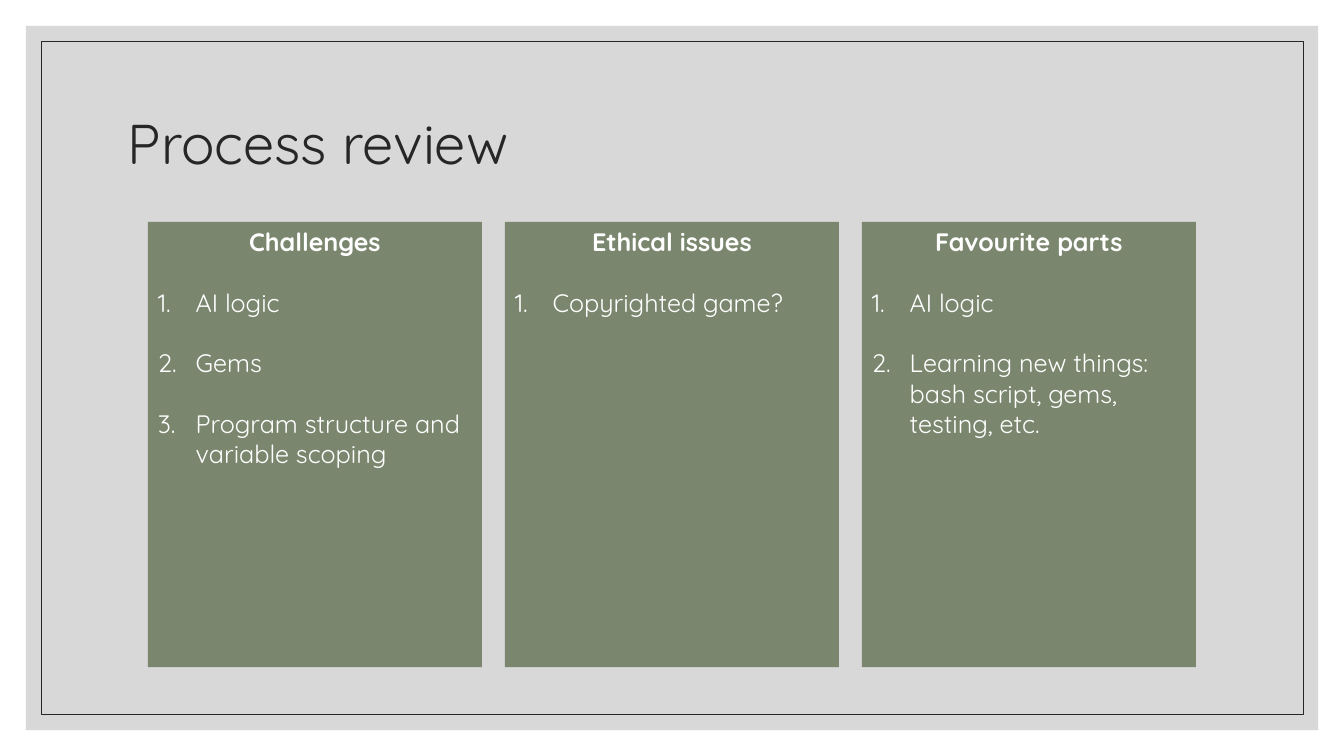
from lxml import etree
from pptx import Presentation
from pptx.dml.color import RGBColor
from pptx.enum.shapes import MSO_SHAPE
from pptx.enum.text import MSO_ANCHOR, PP_ALIGN
from pptx.oxml.ns import qn
from pptx.util import Pt

RECTANGLE = MSO_SHAPE.RECTANGLE
TOP, MIDDLE = MSO_ANCHOR.TOP, MSO_ANCHOR.MIDDLE
LEFT, CENTER = PP_ALIGN.LEFT, PP_ALIGN.CENTER

GRAY = RGBColor(0xBF, 0xBF, 0xBF)
INK = RGBColor(0x26, 0x26, 0x26)
GREEN = RGBColor(0x7A, 0x87, 0x6E)
WHITE = RGBColor(0xFF, 0xFF, 0xFF)

PANEL_LEFT, PANEL_TOP = 105.7, 158.4
PANEL_WIDTH, PANEL_HEIGHT = 238.5, 318.2
PANEL_STEP = 255
LINE_GAP = 21.6
NUMBER_INDENT = 27

PANELS = [
    ("Challenges", ["AI logic", "Gems", "Program structure and variable scoping"]),
    ("Ethical issues", ["Copyrighted game?"]),
    ("Favourite parts", ["AI logic", "Learning new things: bash script, gems, testing, etc."]),
]


def write(para, text, size=18, color=WHITE, bold=False, align=LEFT,
          before=0, spacing=1.0, numbered=False):
    para.alignment = align
    para.space_before = Pt(before)
    para.line_spacing = spacing
    span = para.add_run()
    span.text = text
    span.font.name = "Quicksand"
    span.font.size = Pt(size)
    span.font.bold = bold
    span.font.color.rgb = color
    if numbered:
        properties = para._p.get_or_add_pPr()
        properties.set("marL", str(Pt(NUMBER_INDENT)))
        properties.set("indent", str(-Pt(NUMBER_INDENT)))
        etree.SubElement(properties, qn("a:buFont"), typeface="+mj-lt")
        etree.SubElement(properties, qn("a:buAutoNum"), type="arabicPeriod")


class SlideBuilder:
    def __init__(self, page):
        self.page = page

    def rectangle(self, left, top, width, height, fill=None, line=None, opacity=100):
        box = self.page.shapes.add_shape(
            RECTANGLE, Pt(left), Pt(top), Pt(width), Pt(height))
        box.shadow.inherit = False
        if fill is None:
            box.fill.background()
        else:
            box.fill.solid()
            box.fill.fore_color.rgb = fill
            if opacity < 100:
                color = box.fill._xPr.find(qn("a:solidFill"))[0]
                etree.SubElement(color, qn("a:alpha"), val=str(opacity * 1000))
        if line is None:
            box.line.fill.background()
        else:
            box.line.color.rgb = line
            box.line.width = Pt(0.5)
        return box

    def title(self, text, left, top, width, height):
        box = self.page.shapes.add_textbox(Pt(left), Pt(top), Pt(width), Pt(height))
        box.text_frame.word_wrap = True
        box.text_frame.vertical_anchor = MIDDLE
        write(box.text_frame.paragraphs[0], text, size=40, color=INK, spacing=0.9)

    def panel(self, left, heading, items):
        box = self.rectangle(left, PANEL_TOP, PANEL_WIDTH, PANEL_HEIGHT, fill=GREEN)
        frame = box.text_frame
        frame.word_wrap = True
        frame.vertical_anchor = TOP
        write(frame.paragraphs[0], heading, bold=True, align=CENTER)
        for item in items:
            write(frame.add_paragraph(), item, before=LINE_GAP, numbered=True)


def main():
    deck = Presentation()
    deck.slide_width, deck.slide_height = Pt(960), Pt(540)
    builder = SlideBuilder(deck.slides.add_slide(deck.slide_layouts[6]))
    builder.rectangle(18.5, 18.5, 923, 503, fill=GRAY, opacity=60)
    builder.rectangle(29.4, 29.4, 901.4, 481.2, line=INK)
    builder.title("Process review", 84.2, 50.4, 792, 108)
    for index, (heading, items) in enumerate(PANELS):
        builder.panel(PANEL_LEFT + index * PANEL_STEP, heading, items)
    deck.save("out.pptx")


if __name__ == "__main__":
    main()
